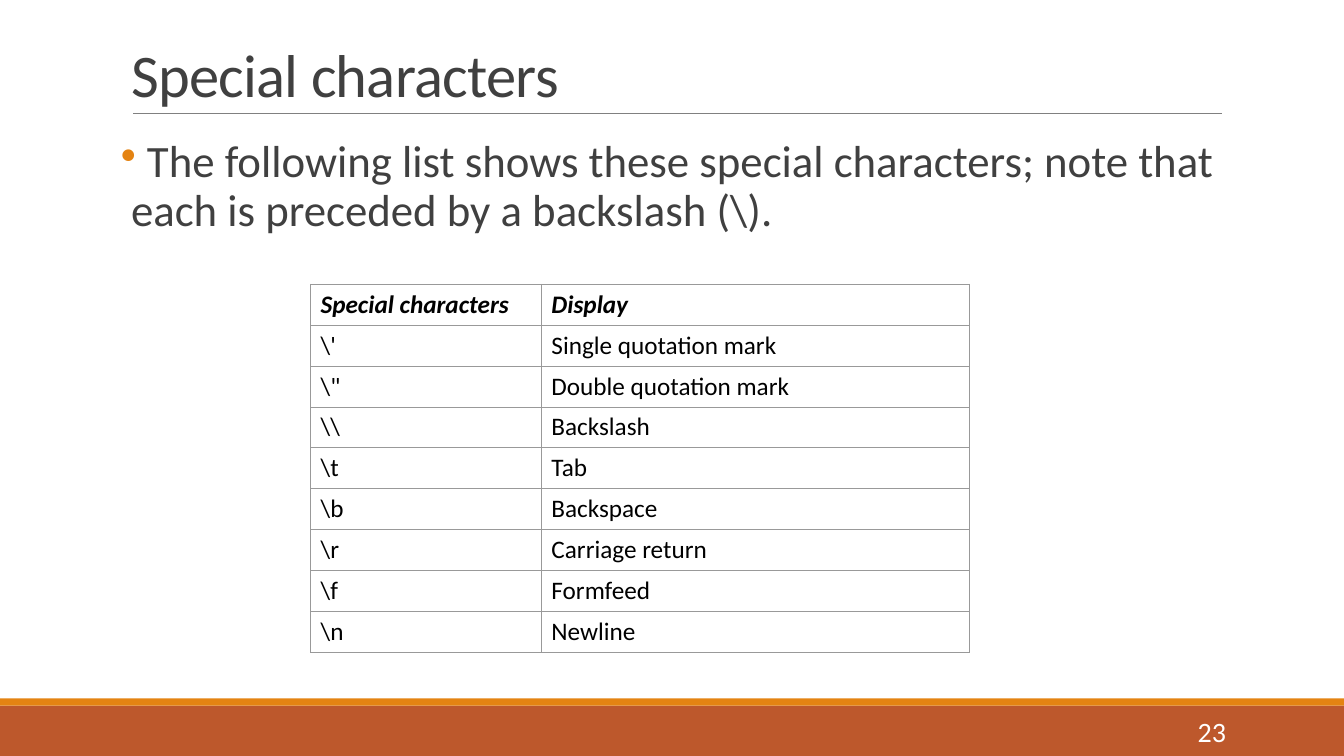
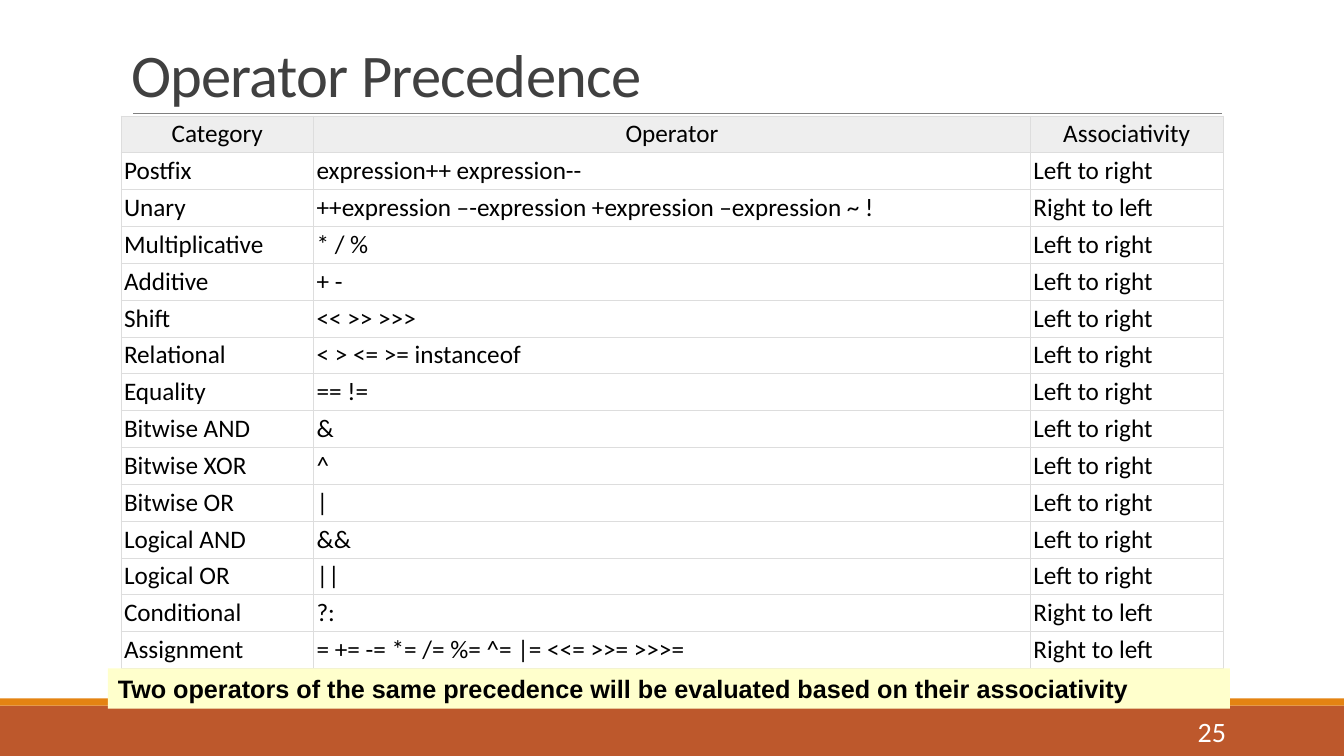
from dataclasses import dataclass

from lxml.etree import SubElement
from pptx import Presentation
from pptx.dml.color import RGBColor
from pptx.enum.shapes import MSO_CONNECTOR, MSO_SHAPE
from pptx.enum.text import MSO_ANCHOR, MSO_AUTO_SIZE, PP_ALIGN
from pptx.oxml.ns import qn
from pptx.shapes.autoshape import Shape
from pptx.slide import Slide
from pptx.table import _Cell
from pptx.text.text import TextFrame, _Paragraph
from pptx.util import Emu, Pt

# Shared look
PX = 9144  # EMU per px, 100 px to the inch
WIDTH, HEIGHT = 1333, 750
FONT = "Calibri"
INK, BLACK, WHITE = "404040", "000000", "FFFFFF"
ORANGE, RUST, GREY, CREAM = "E48312", "BD582C", "808080", "FFFFCC"


@dataclass
class Box:
    left: int
    top: int
    width: int
    height: int

    def emu(self) -> tuple[Emu, ...]:
        return tuple(px(v) for v in (self.left, self.top, self.width, self.height))


@dataclass
class TableStyle:
    left: int
    top: int
    cols: list[int]
    row_height: int
    border: str
    header_fill: str
    body_fill: str | None = None
    header_bold: bool = False
    header_align: PP_ALIGN = PP_ALIGN.LEFT
    margins: tuple[int, int, int, int] = (10, 5, 10, 5)


TITLE = Box(120, 39, 1100, 75)
NUMBER = Box(1083, 706, 143, 40)
BANDS = [(Box(0, 700, WIDTH, 50), RUST), (Box(0, 693, WIDTH, 7), ORANGE)]
RULE_LEFT, RULE_RIGHT, RULE_Y = 132, 1212, 112


def px(value: int) -> Emu:
    return Emu(value * PX)


def rgb(value: str) -> RGBColor:
    return RGBColor.from_string(value)


# Text
def write(tf: TextFrame, text: str, *, size: float = 18, color: str = BLACK,
          font: str = FONT, bold: bool = False, italic: bool = False,
          align: PP_ALIGN = PP_ALIGN.LEFT, anchor: MSO_ANCHOR = MSO_ANCHOR.TOP,
          autosize: MSO_AUTO_SIZE = MSO_AUTO_SIZE.NONE,
          line: float | None = None, tracking: int | None = None) -> _Paragraph:
    tf.word_wrap = True
    tf.auto_size = autosize
    tf.vertical_anchor = anchor
    return write_paragraph(tf, text, size, color, font, bold, italic, align, line, tracking)


def write_paragraph(tf: TextFrame, text: str, size: float, color: str, font: str,
                    bold: bool, italic: bool, align: PP_ALIGN,
                    line: float | None = None, tracking: int | None = None) -> _Paragraph:
    p = tf.paragraphs[0]
    p.alignment = align
    if line:
        p.line_spacing = line
    r = p.add_run()
    r.text = text
    r.font.name, r.font.size = font, Pt(size)
    r.font.bold, r.font.italic = bold, italic
    r.font.color.rgb = rgb(color)
    if tracking:
        r._r.get_or_add_rPr().set("spc", str(tracking))
    return p


def add_bullet(p: _Paragraph, color: str, indent: int) -> None:
    pPr = p._p.get_or_add_pPr()
    pPr.set("marL", str(px(indent)))
    pPr.set("indent", str(-px(indent)))
    SubElement(SubElement(pPr, qn("a:buClr")), qn("a:srgbClr"), val=color)
    SubElement(pPr, qn("a:buChar"), char="•")


# Shapes
def add_rect(s: Slide, box: Box, fill: str) -> Shape:
    sp = s.shapes.add_shape(MSO_SHAPE.RECTANGLE, *box.emu())
    sp.shadow.inherit = False
    sp.fill.solid()
    sp.fill.fore_color.rgb = rgb(fill)
    sp.line.fill.background()
    return sp


def add_rule(s: Slide) -> None:
    y = px(RULE_Y)
    rule = s.shapes.add_connector(
        MSO_CONNECTOR.STRAIGHT, px(RULE_LEFT), y, px(RULE_RIGHT), y)
    rule.line.color.rgb = rgb(GREY)
    rule.line.width = Pt(0.5)
    SubElement(rule.element.spPr, qn("a:effectLst"))


# Tables
def format_cell(cell: _Cell, style: TableStyle, fill: str | None) -> None:
    tcPr = cell._tc.get_or_add_tcPr()
    for side in ("lnL", "lnR", "lnT", "lnB"):
        ln = SubElement(tcPr, qn(f"a:{side}"), w=str(Pt(0.6)))
        SubElement(SubElement(ln, qn("a:solidFill")), qn("a:srgbClr"), val=style.border)
    if fill:
        cell.fill.solid()
        cell.fill.fore_color.rgb = rgb(fill)
    else:
        cell.fill.background()
    (cell.margin_left, cell.margin_top,
     cell.margin_right, cell.margin_bottom) = map(px, style.margins)


def add_table(s: Slide, rows: list[tuple[str, ...]], style: TableStyle) -> None:
    box = Box(style.left, style.top, sum(style.cols), style.row_height * len(rows))
    table = s.shapes.add_table(len(rows), len(style.cols), *box.emu()).table
    table.first_row = table.horz_banding = False
    for col, width in zip(table.columns, style.cols):
        col.width = px(width)
    for i, texts in enumerate(rows):
        header = i == 0
        for j, text in enumerate(texts):
            cell = table.cell(i, j)
            format_cell(cell, style, style.header_fill if header else style.body_fill)
            strong = header and style.header_bold
            align = style.header_align if header else PP_ALIGN.LEFT
            write_paragraph(cell.text_frame, text, 18, BLACK, FONT, strong, strong, align)


# Slides
def add_slide(prs: Presentation, title: str, number: int) -> Slide:
    s = prs.slides.add_slide(prs.slide_layouts[5])
    for box, fill in BANDS:
        add_rect(s, box, fill)
    add_rule(s)
    sp = s.shapes.title
    sp.left, sp.top, sp.width, sp.height = TITLE.emu()
    write(sp.text_frame, title, size=43.2, color=INK, line=0.85,
          anchor=MSO_ANCHOR.BOTTOM, tracking=-50)
    write(s.shapes.add_textbox(*NUMBER.emu()).text_frame, str(number), size=20,
          color=WHITE, align=PP_ALIGN.RIGHT, anchor=MSO_ANCHOR.MIDDLE)
    return s


SPECIAL_CHARACTERS = [
    ("Special characters", "Display"),
    (r"\'", "Single quotation mark"),
    (r'\"', "Double quotation mark"),
    (r"\\", "Backslash"),
    (r"\t", "Tab"),
    (r"\b", "Backspace"),
    (r"\r", "Carriage return"),
    (r"\f", "Formfeed"),
    (r"\n", "Newline"),
]

LTR, RTL = "Left to right", "Right to left"
PRECEDENCE = [
    ("Category", "Operator", "Associativity"),
    ("Postfix", "expression++ expression--", LTR),
    ("Unary", "++expression –-expression +expression –expression ~ !", RTL),
    ("Multiplicative", "* / %", LTR),
    ("Additive", "+ -", LTR),
    ("Shift", "<< >> >>>", LTR),
    ("Relational", "< > <= >= instanceof", LTR),
    ("Equality", "== !=", LTR),
    ("Bitwise AND", "&", LTR),
    ("Bitwise XOR", "^", LTR),
    ("Bitwise OR", "|", LTR),
    ("Logical AND", "&&", LTR),
    ("Logical OR", "||", LTR),
    ("Conditional", "?:", RTL),
    ("Assignment", "= += -= *= /= %= ^= |= <<= >>= >>>=", RTL),
]


def special_characters(prs: Presentation) -> None:
    s = add_slide(prs, "Special characters", 23)
    tf = s.shapes.add_textbox(*Box(120, 133, 1100, 509).emu()).text_frame
    tf.margin_left = tf.margin_right = 0
    p = write(tf, " The following list shows these special characters; "
              r"note that each is preceded by a backslash (\).",
              size=32, color=INK, line=0.9)
    p.space_before, p.space_after = Pt(12), Pt(2)
    add_bullet(p, ORANGE, 10)
    add_table(s, SPECIAL_CHARACTERS, TableStyle(
        308, 282, [229, 424], 40, border="999999",
        header_fill=WHITE, body_fill=WHITE, header_bold=True))


def operator_precedence(prs: Presentation) -> None:
    s = add_slide(prs, "Operator Precedence", 25)
    add_table(s, PRECEDENCE, TableStyle(
        120, 115, [191, 711, 191], 36, border="DDDDDD", header_fill="EEEEEE",
        header_align=PP_ALIGN.CENTER, margins=(3, 3, 3, 3)))
    note = add_rect(s, Box(107, 663, 1113, 40), CREAM)
    write(note.text_frame, "Two operators of the same precedence will be evaluated "
          "based on their associativity", font="Arial", bold=True,
          autosize=MSO_AUTO_SIZE.SHAPE_TO_FIT_TEXT)


def main() -> None:
    prs = Presentation()
    prs.slide_width, prs.slide_height = px(WIDTH), px(HEIGHT)
    special_characters(prs)
    operator_precedence(prs)
    prs.save("out.pptx")


if __name__ == "__main__":
    main()
